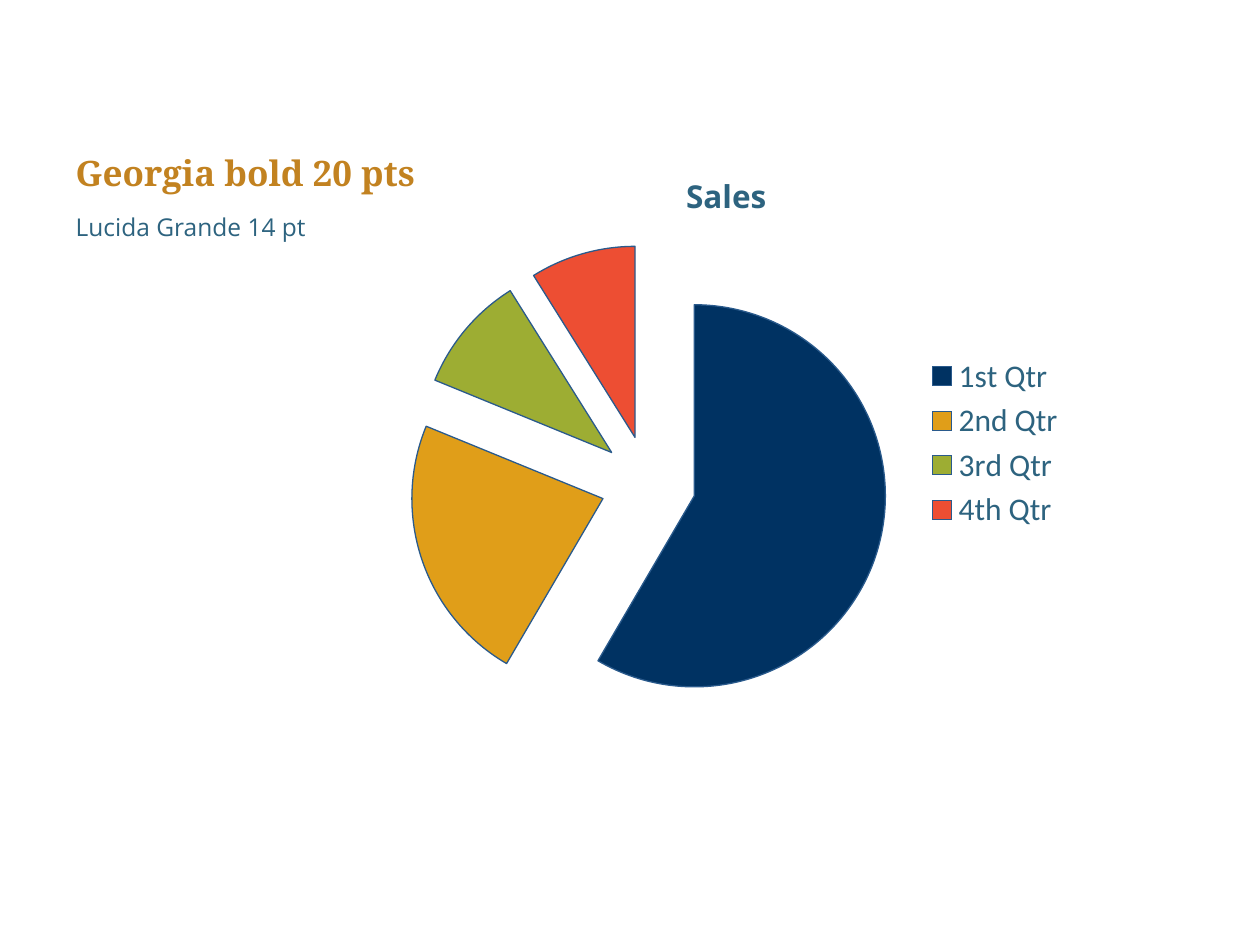
from dataclasses import dataclass

from lxml.etree import SubElement
from pptx import Presentation
from pptx.chart.data import CategoryChartData as ChartData
from pptx.dml.color import RGBColor as Color
from pptx.enum.chart import XL_CHART_TYPE as ChartType, XL_LEGEND_POSITION as LegendPosition
from pptx.enum.text import MSO_ANCHOR as Anchor
from pptx.oxml.ns import qn
from pptx.util import Cm, Pt

COLORS = {"navy": "003262", "amber": "E09E19", "green": "9DAD33", "red": "ED4E33",
          "outline": "2A5A8C", "teal": "2D637F", "gold": "C28220"}


@dataclass
class Quarter:
    name: str
    share: int
    color: str


@dataclass
class Caption:
    text: str
    top: float
    height: float
    anchor: Anchor
    color: str
    format: dict


QUARTERS = [
    Quarter("1st Qtr", 59, "navy"),
    Quarter("2nd Qtr", 23, "amber"),
    Quarter("3rd Qtr", 10, "green"),
    Quarter("4th Qtr", 9, "red"),
]
HEADING = Caption("Georgia bold 20 pts", 2.9, 1.12, Anchor.BOTTOM, "gold",
                  {"name": "Noto Serif", "size": Pt(20), "bold": True})
DETAIL = Caption("Lucida Grande 14 pt", 4.14, 10.59, Anchor.TOP, "teal",
                 {"name": "Open Sans", "size": Pt(14), "bold": False})
CHART_TITLE_FORMAT = {"name": "Open Sans", "size": Pt(18), "bold": True}
CHART_FORMAT = {"name": "Calibri", "size": Pt(18), "bold": False}


def rgb(name: str) -> Color:
    return Color.from_string(COLORS[name])


def style_font(font, values: dict, color: str) -> None:
    for name, value in values.items():
        setattr(font, name, value)
    font.color.rgb = rgb(color)


def fill_caption(box, caption: Caption) -> None:
    box.left, box.top = Cm(1.27), Cm(caption.top)
    box.width, box.height = Cm(8.36), Cm(caption.height)
    frame = box.text_frame
    frame.word_wrap = True
    frame.vertical_anchor = caption.anchor
    para = frame.paragraphs[0]
    properties = para._p.get_or_add_pPr()
    for name, value in {"marL": "0", "indent": "0", "algn": "l"}.items():
        properties.set(name, value)
    SubElement(properties, qn("a:buNone"))
    span = para.add_run()
    span.text = caption.text
    style_font(span.font, caption.format, caption.color)


def add_sales_pie(page, quarters: list[Quarter]) -> None:
    data = ChartData()
    data.categories = [quarter.name for quarter in quarters]
    data.add_series("Sales", [quarter.share for quarter in quarters])
    chart = page.shapes.add_chart(ChartType.PIE, Cm(7.54), Cm(2.95), Cm(14.2), Cm(11.96),
                                  data).chart
    style_font(chart.font, CHART_FORMAT, "teal")

    # Title and legend
    chart.has_title = True
    span = chart.chart_title.text_frame.paragraphs[0].add_run()
    span.text = "Sales"
    style_font(span.font, CHART_TITLE_FORMAT, "teal")
    chart.has_legend = True
    chart.legend.position = LegendPosition.RIGHT
    chart.legend.include_in_layout = False
    style_font(chart.legend.font, CHART_FORMAT, "teal")

    # Slices, pulled apart
    plot = chart.plots[0]
    plot.vary_by_categories = True
    series = plot.series[0]
    for index, quarter in enumerate(quarters):
        style = series.points[index].format
        style.fill.solid()
        style.fill.fore_color.rgb = rgb(quarter.color)
        style.line.color.rgb = rgb("outline")
        style.line.width = Pt(0.75)
    explosion = SubElement(series._element, qn("c:explosion"), val="25")
    series._element.find(qn("c:dPt")).addprevious(explosion)


deck = Presentation()
deck.slide_width, deck.slide_height = Cm(25.4), Cm(19.05)
page = deck.slides.add_slide(deck.slide_layouts[1])

# Chart behind the captions
add_sales_pie(page, QUARTERS)
fill_caption(page.shapes.title, HEADING)
fill_caption(page.placeholders[1], DETAIL)

deck.save("out.pptx")
